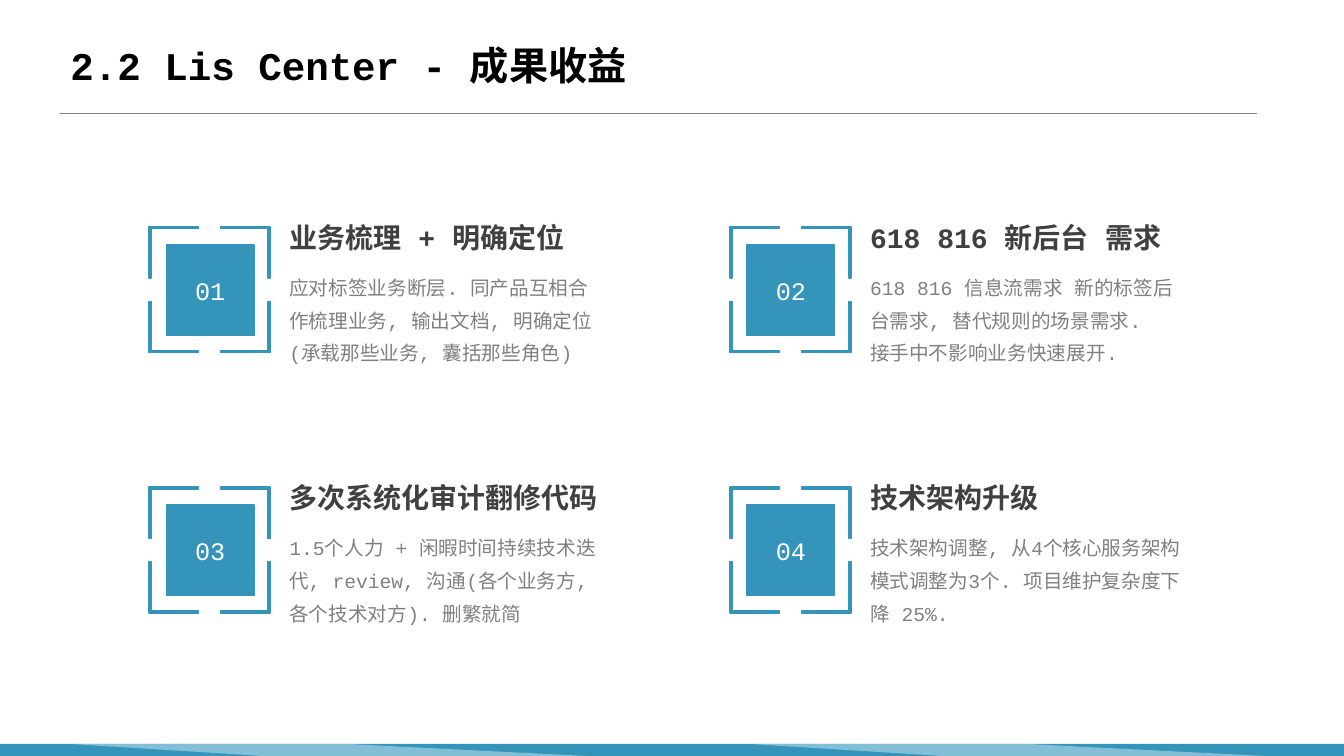
from lxml import etree
from pptx import Presentation
from pptx import util as u
from pptx.dml.color import RGBColor
from pptx.enum import shapes, text
from pptx.oxml.ns import qn

Inches = u.Inches

# Content
TITLE = "2.2 Lis Center - 成果收益"
CARDS = [
    ("01", "业务梳理 + 明确定位",
     ["应对标签业务断层. 同产品互相合作梳理业务, 输出文档, 明确定位(承载那些业务, 囊括那些角色)"]),
    ("02", "618 816 新后台 需求",
     ["618 816 信息流需求 新的标签后台需求, 替代规则的场景需求.",
      "接手中不影响业务快速展开."]),
    ("03", "多次系统化审计翻修代码",
     ["1.5个人力 + 闲暇时间持续技术迭代, review, 沟通(各个业务方, 各个技术对方). 删繁就简"]),
    ("04", "技术架构升级",
     ["技术架构调整, 从4个核心服务架构模式调整为3个. 项目维护复杂度下降 25%."]),
]

# Look
FONT = "Courier New"
BLUE = RGBColor(0x34, 0x94, 0xBA)
PALE = RGBColor(0xD4, 0xEA, 0xF3)
BLACK = RGBColor(0, 0, 0)
WHITE = RGBColor(255, 255, 255)
DARK = RGBColor(0x40, 0x40, 0x40)
GRAY = RGBColor(0x80, 0x80, 0x80)

# Layout
COLUMNS = (1.48, 7.24)
ROWS = (2.25, 4.83)
FRAME_W, FRAME_H = 1.2, 1.25
ARM_W, ARM_H, THICK = 0.49, 0.51, 0.02
BAND_TOP, BAND_BOTTOM = 7.38, 7.5

presentation = Presentation()
presentation.slide_width = Inches(13.33)
presentation.slide_height = Inches(7.5)
slide = presentation.slides.add_slide(presentation.slide_layouts[6])


def paint(shape, color, line=None):
    shape.shadow.inherit = False
    shape.fill.solid()
    shape.fill.fore_color.rgb = color
    if line is None:
        shape.line.fill.background()
    else:
        shape.line.color.rgb = line
        shape.line.width = u.Pt(1)


def write(shape, *lines, size, color, bold=False, align=None, spacing=None,
          anchor=text.MSO_ANCHOR.MIDDLE, inset=None):
    frame = shape.text_frame
    frame.word_wrap = True
    frame.vertical_anchor = anchor
    if inset is not None:
        frame.margin_left = frame.margin_right = Inches(inset)
        frame.margin_top = frame.margin_bottom = Inches(inset)
    for index, line in enumerate(lines):
        paragraph = frame.add_paragraph() if index else frame.paragraphs[0]
        paragraph.alignment = align
        paragraph.line_spacing = spacing
        run = paragraph.add_run()
        run.text = line
        run.font.name = FONT
        run.font.size = u.Pt(size)
        run.font.bold = bold
        run.font.color.rgb = color
        # East Asian characters use the same typeface
        east_asian = etree.SubElement(run.font._element, qn("a:ea"))
        east_asian.set("typeface", FONT)


def add_box(left, top, width, height):
    return slide.shapes.add_textbox(*map(Inches, (left, top, width, height)))


def add_rectangle(left, top, width, height):
    return slide.shapes.add_shape(shapes.MSO_SHAPE.RECTANGLE,
                                  *map(Inches, (left, top, width, height)))


def add_outline(contours):
    builder = None
    for contour in contours:
        start, *rest = [(Inches(x), Inches(y)) for x, y in contour]
        if builder is None:
            builder = slide.shapes.build_freeform(*start)
        else:
            builder.move_to(*start)
        builder.add_line_segments(rest, close=True)
    return builder.convert_to_shape()


def corner(left, top, right, bottom):
    """One L-shaped bracket for each corner of the frame."""
    for x, dx in ((left, 1), (right, -1)):
        for y, dy in ((top, 1), (bottom, -1)):
            yield [(x, y), (x + dx * ARM_W, y),
                   (x + dx * ARM_W, y + dy * THICK),
                   (x + dx * THICK, y + dy * THICK),
                   (x + dx * THICK, y + dy * ARM_H), (x, y + dy * ARM_H)]


# Footer band with two pale facets
paint(add_rectangle(0, BAND_TOP, 13.33, 0.12), BLUE)
for left in (0.69, 7.43):
    facet = add_outline([[(left, BAND_TOP), (left + 2.75, BAND_TOP),
                          (left + 5.13, BAND_BOTTOM), (left + 1.92, BAND_BOTTOM)]])
    paint(facet, PALE)
    fill_color = facet.fill._xPr.find(".//" + qn("a:srgbClr"))
    etree.SubElement(fill_color, qn("a:alpha")).set("val", "49000")

# Title and rule
rule = slide.shapes.add_connector(shapes.MSO_CONNECTOR.STRAIGHT,
                                  *map(Inches, (0.6, 1.12, 12.47, 1.12)))
rule.line.color.rgb = GRAY
rule.line.width = u.Pt(0.5)
etree.SubElement(rule._element.spPr, qn("a:effectLst"))
write(add_box(0.6, 0.23, 11.88, 0.89), TITLE,
      size=28, color=BLACK, bold=True, spacing=0.9)

# Four cards in a two by two grid
for index, (number, heading, body) in enumerate(CARDS):
    left, top = COLUMNS[index % 2], ROWS[index // 2]
    square = add_rectangle(left + 0.17, top + 0.18, 0.87, 0.9)
    paint(square, BLUE, line=BLUE)
    write(square, number, size=18, color=WHITE, align=text.PP_ALIGN.CENTER)
    brackets = add_outline(corner(left, top, left + FRAME_W, top + FRAME_H))
    paint(brackets, BLUE, line=BLUE)
    write(add_box(left + 1.39, top - 0.15, 3.13, 0.51), heading,
          size=20, color=DARK, bold=True, inset=0)
    write(add_box(left + 1.39, top + 0.39, 3.13, 1.27), *body,
          size=14, color=GRAY, spacing=1.4, inset=0,
          anchor=text.MSO_ANCHOR.TOP)

presentation.save("out.pptx")
